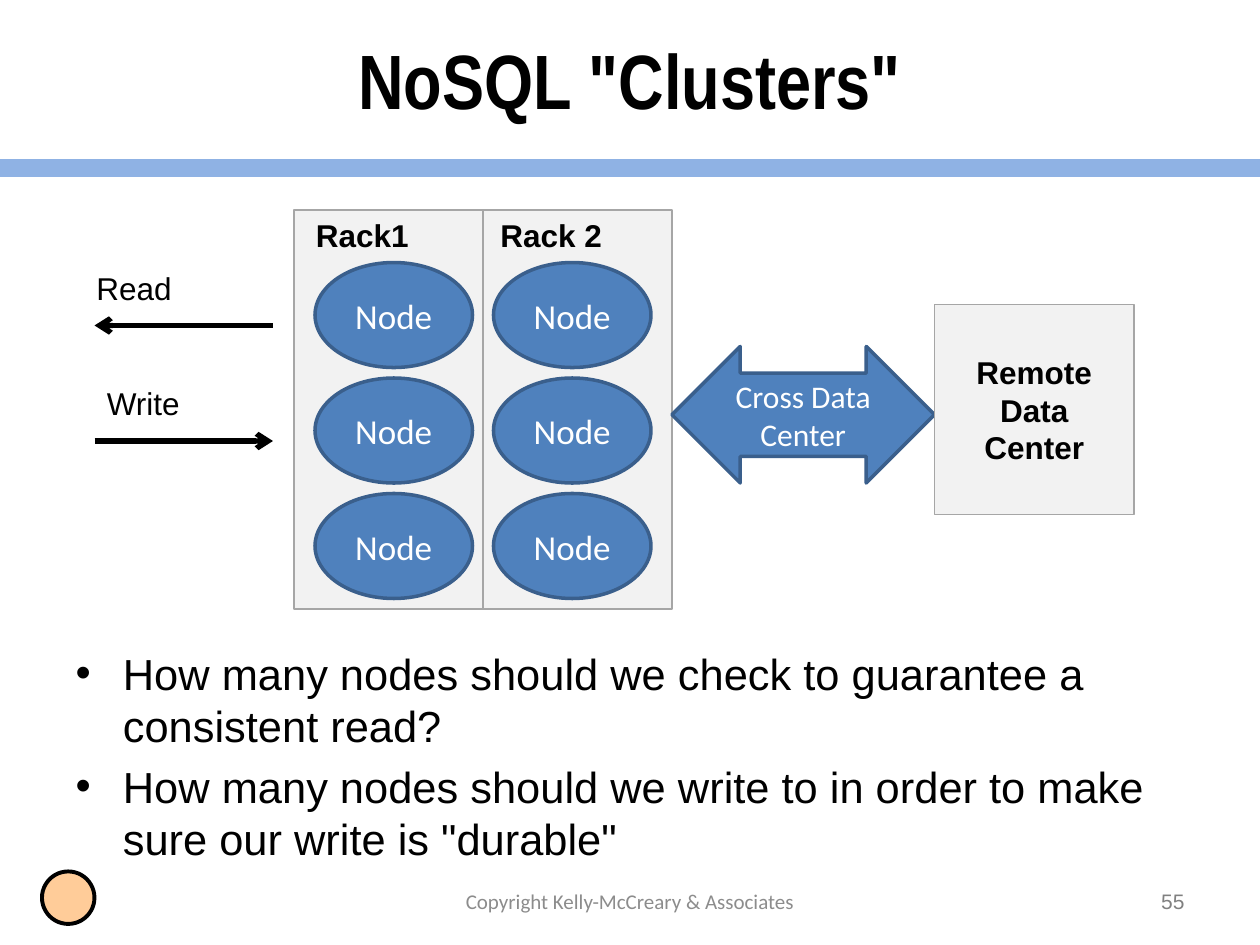
from lxml.etree import SubElement
from pptx import Presentation
from pptx.dml.color import RGBColor
from pptx.enum.shapes import MSO_CONNECTOR, MSO_SHAPE
from pptx.enum.text import MSO_ANCHOR, MSO_AUTO_SIZE, PP_ALIGN
from pptx.oxml.ns import qn
from pptx.util import Emu, Pt

EMU_PER_PX = 7620
BLUE, DARK_BLUE, BAND = "4F81BD", "3A5F8C", "8FB2E4"
PALE, GREY, BLACK, WHITE = "F2F2F2", "A6A6A6", "000000", "FFFFFF"


def px(*values):
    """Turn pixel lengths into a list of EMU lengths."""
    return [Emu(value * EMU_PER_PX) for value in values]


def color(value):
    """Turn a hex string into a colour."""
    return RGBColor.from_string(value)


def write_text(box, text, size=18, font="Arial", fill=BLACK, bold=False,
               align=PP_ALIGN.CENTER, anchor=MSO_ANCHOR.TOP, wrap=True, gap=0):
    """Fill a shape with one formatted paragraph per line of text."""
    frame = box.text_frame
    frame.text = text
    frame.word_wrap = wrap
    frame.auto_size = MSO_AUTO_SIZE.NONE
    frame.vertical_anchor = anchor
    for index, para in enumerate(frame.paragraphs):
        para.alignment = align
        para.space_before = Pt(gap if index else 0)
        for span in para.runs:
            span.font.size = Pt(size)
            span.font.name = font
            span.font.bold = bold
            span.font.color.rgb = color(fill)


def add_label(page, bounds, text, **style):
    """Add a text box with formatted text."""
    write_text(page.shapes.add_textbox(*px(*bounds)), text, **style)


def add_block(page, kind, bounds, fill=PALE, line=GREY, width=1):
    """Add a flat preset shape with an outline."""
    block = page.shapes.add_shape(kind, *px(*bounds))
    block.shadow.inherit = False
    block.fill.solid()
    block.fill.fore_color.rgb = color(fill)
    block.line.color.rgb = color(line)
    block.line.width = Pt(width)
    return block


def add_line(page, start, end, stroke=BLACK, width=3, arrow=False):
    """Add a straight line, with an arrowhead at its end if asked."""
    line = page.shapes.add_connector(MSO_CONNECTOR.STRAIGHT, *px(*start, *end))
    line.line.color.rgb = color(stroke)
    line.line.width = Pt(width)
    if arrow:
        SubElement(line.line._get_or_add_ln(), qn("a:tailEnd"), type="arrow")
    SubElement(line._element.spPr, qn("a:effectLst"))


def fill_placeholder(holder, bounds, text, **style):
    """Place a template placeholder and fill it with text."""
    holder.left, holder.top, holder.width, holder.height = px(*bounds)
    write_text(holder, text, **style)


def add_racks(page):
    """Add the two racks with their names and nodes."""
    for column, name in enumerate(("Rack1", "Rack 2")):
        left = 280 + 180 * column
        add_block(page, MSO_SHAPE.RECTANGLE, (left, 200, 180, 380))
        add_label(page, (left, 200, 130, 48), name, bold=True)
    for column in range(2):
        for row in range(3):
            bounds = (300 + 170 * column, 250 + 110 * row, 150, 100)
            node = add_block(page, MSO_SHAPE.OVAL, bounds, BLUE, DARK_BLUE, 2)
            write_text(node, "Node", size=20, font="Calibri", fill=WHITE,
                       anchor=MSO_ANCHOR.MIDDLE)


def add_remote_center(page):
    """Add the remote data center and the two-way arrow leading to it."""
    link = add_block(page, MSO_SHAPE.LEFT_RIGHT_ARROW, (640, 330, 250, 130),
                     BLUE, DARK_BLUE, 2)
    link.adjustments[0] = 0.61
    link.adjustments[1] = 0.5
    write_text(link, "Cross Data Center", font="Calibri", fill=WHITE,
               anchor=MSO_ANCHOR.MIDDLE)
    add_block(page, MSO_SHAPE.RECTANGLE, (890, 290, 190, 200))
    add_label(page, (890, 330, 190, 121), "Remote Data Center", bold=True)


def add_requests(page):
    """Add the read and write arrows with their labels."""
    add_line(page, (260, 310), (90, 310), arrow=True)
    add_line(page, (90, 420), (260, 420), arrow=True)
    for left, top, name in ((80, 250, "Read"), (90, 360, "Write")):
        add_label(page, (left, top, 96, 48), name, align=PP_ALIGN.LEFT, wrap=False)


def add_footer(page):
    """Add the emblem, copyright line and page number."""
    add_block(page, MSO_SHAPE.OVAL, (40, 830, 50, 50), "FFCC99", BLACK, 2.25)
    add_label(page, (410, 834, 380, 48), "Copyright Kelly-McCreary & Associates",
              size=12, font="Calibri", fill="8C8C8C", anchor=MSO_ANCHOR.MIDDLE)
    add_label(page, (1070, 834, 70, 48), "55", size=12, fill="808080",
              align=PP_ALIGN.RIGHT, anchor=MSO_ANCHOR.MIDDLE)


def main():
    """Build the slide and save it."""
    deck = Presentation()
    deck.slide_width, deck.slide_height = px(1200, 900)
    page = deck.slides.add_slide(deck.slide_layouts[1])
    title, body = page.placeholders
    fill_placeholder(title, (60, 0, 1080, 150), 'NoSQL "Clusters"', size=44,
                     font="Arial Narrow", bold=True, anchor=MSO_ANCHOR.MIDDLE)
    questions = (
        "How many nodes should we check to guarantee a consistent read?",
        "How many nodes should we write to in order to make sure our write "
        'is "durable"',
    )
    fill_placeholder(body, (60, 610, 1080, 194), "\n".join(questions), size=24.8,
                     align=PP_ALIGN.LEFT, gap=5)
    add_line(page, (0, 160), (1200, 160), BAND, 10)
    add_racks(page)
    add_remote_center(page)
    add_requests(page)
    add_footer(page)
    deck.save("out.pptx")


if __name__ == "__main__":
    main()
